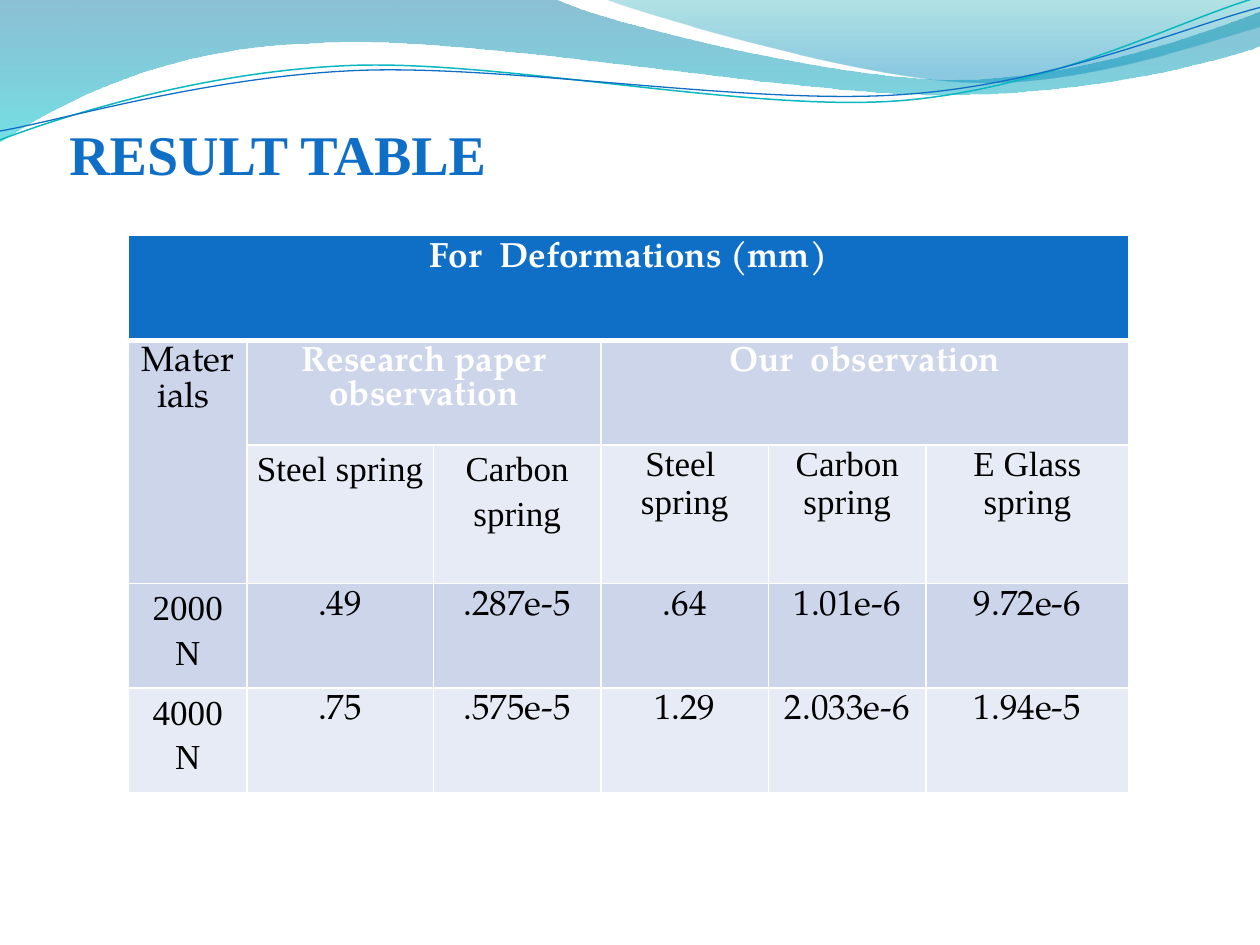
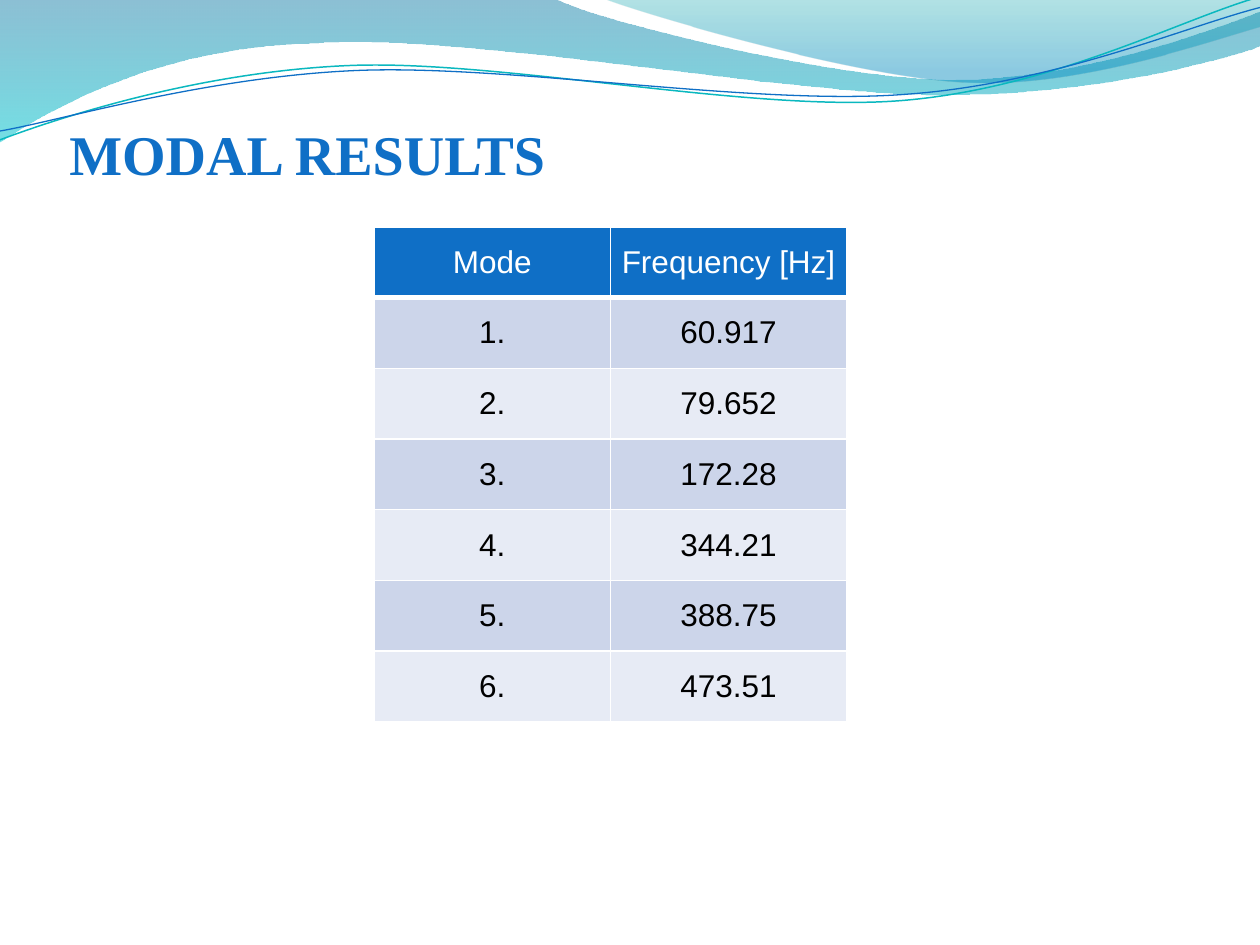
from math import cos, radians, sin

from lxml import etree
from pptx import Presentation
from pptx.dml.color import RGBColor
from pptx.enum.text import MSO_ANCHOR as Anchor, MSO_AUTO_SIZE as AutoSize, PP_ALIGN as Align
from pptx.oxml.ns import qn
from pptx.util import Inches, Pt

COLOURS = {
    "blue": "0F6FC6", "teal": "0AB8BF", "white": "FFFFFF", "black": "000000",
    "band_dark": "CCD5EA", "band_light": "E7EBF5",
    "wave_top": "0074A1", "wave_bottom": "00C6CF",
    "crest_top": "00A1A9", "crest_bottom": "008BBF",
}
SERIF, BOOK, SANS = "Times New Roman", "TeX Gyre Pagella", "Arial"
TITLE_BOX = (0.55, 0.23, 9, 1.25)
LINE_TILT = 357.3

HEADING = dict(font=BOOK, size=20, colour="white", bold=True)
VALUE = dict(font=BOOK, size=20)
LABEL = dict(font=SERIF, size=20, margins=(0.07, 0, 0.07, 0))
LOOSE_LABEL = dict(LABEL, spacing=1.15)
MODE = dict(font=SANS, size=18, margins=(0.03, 0.01, 0.03, 0.01), anchor=Anchor.MIDDLE)
MODE_HEADING = dict(MODE, colour="white")

WAVE = [
    [(0, 0)], [(4.4, -0.01)],
    [(4.76, 0.17), (6.64, 0.63), (7.58, 0.63)],
    [(8.53, 0.63), (9.58, 0.26), (10, 0.09)], [(10.01, 0.36)],
    [(9.83, 0.44), (8.7, 0.76), (7.46, 0.75)],
    [(6.22, 0.75), (3.82, 0.28), (2.57, 0.34)],
    [(1.29, 0.36), (0.46, 0.83), (-0.01, 1.13)], [(0, 0)],
]
CREST = [
    [(4.79, -0.01)],
    [(5.09, 0.11), (6.82, 0.62), (7.69, 0.65)],
    [(8.56, 0.69), (9.61, 0.32), (10, 0.21)], [(10, 0)], [(4.79, -0.01)],
]
TEAL_LINE = [
    [(0, 1.11)],
    [(0.48, 0.93), (1.58, 0.57), (2.77, 0.52)],
    [(3.95, 0.47), (5.93, 0.89), (7.13, 0.8)],
    [(8.33, 0.71), (9.38, 0.15), (9.98, -0.02)],
]
BLUE_LINE = [
    [(0, 1.04)],
    [(0.47, 0.96), (1.64, 0.61), (2.83, 0.56)],
    [(4.03, 0.51), (5.97, 0.84), (7.17, 0.75)],
    [(8.36, 0.67), (9.41, 0.21), (10, 0.06)],
]


def rgb(name):
    return RGBColor.from_string(COLOURS[name])


def write(text_frame, text, font=SERIF, size=20, colour="black", bold=False,
          align=Align.CENTER, spacing=None):
    for index, line in enumerate(text.split("\n")):
        paragraph = text_frame.add_paragraph() if index else text_frame.paragraphs[0]
        paragraph.alignment = align
        if spacing:
            paragraph.line_spacing = spacing
        run = paragraph.add_run()
        run.text = line
        run.font.name, run.font.size, run.font.bold = font, Pt(size), bold
        run.font.color.rgb = rgb(colour)


def bend_segments(shape, segments):
    outline = next(shape._element.iter(qn("a:path")))
    steps = iter(outline.findall(qn("a:lnTo")))
    for segment in segments[1:]:
        group = [next(steps) for _ in segment]
        if len(group) == 3:
            curve = etree.Element(qn("a:cubicBezTo"))
            group[0].addprevious(curve)
            for step in group:
                curve.append(step[0])
                outline.remove(step)


def add_outline(slide, segments, close):
    points = [(Inches(x), Inches(y)) for segment in segments for x, y in segment]
    builder = slide.shapes.build_freeform(*points[0])
    builder.add_line_segments(points[1:], close=close)
    shape = builder.convert_to_shape()
    bend_segments(shape, segments)
    shape.shadow.inherit = False
    return shape


def level(segments, centre, angle):
    turn = radians(-angle)

    def turned(x, y):
        dx, dy = x - centre[0], y - centre[1]
        return (centre[0] + dx * cos(turn) - dy * sin(turn),
                centre[1] + dx * sin(turn) + dy * cos(turn))

    return [[turned(*point) for point in segment] for segment in segments]


def add_wave(slide, segments, stops):
    shape = add_outline(slide, segments, True)
    shape.line.fill.background()
    shape.fill.gradient()
    shape.fill.gradient_angle = 270
    for stop, (position, colour, _) in zip(shape.fill.gradient_stops, stops):
        stop.position = position
        stop.color.rgb = rgb(colour)
    for element, (_, _, opacity) in zip(shape._element.iter(qn("a:gs")), stops):
        etree.SubElement(element[0], qn("a:alpha"), val=str(opacity * 1000))
    return shape


def add_curve(slide, segments, centre, colour, width):
    shape = add_outline(slide, level(segments, centre, LINE_TILT), False)
    shape.rotation = LINE_TILT
    shape.fill.background()
    shape.line.color.rgb = rgb(colour)
    shape.line.width = Pt(width)
    return shape


def move_waves_to_master(slide):
    shapes = [
        add_wave(slide, WAVE, [(0, "wave_top", 45), (1, "wave_bottom", 55)]),
        add_wave(slide, CREST, [(0, "crest_top", 30), (0.8, "crest_bottom", 45)]),
        add_curve(slide, TEAL_LINE, (4.99, 0.57), "teal", 0.85),
        add_curve(slide, BLUE_LINE, (5, 0.59), "blue", 0.75),
    ]
    tree = slide.slide_layout.slide_master.shapes._spTree
    for index, shape in enumerate(shapes, start=2):
        next(shape._element.iter(qn("p:cNvPr"))).set("id", str(100 + index))
        tree.insert(index, shape._element)


def add_title(slide, text, box):
    title = slide.shapes.title
    title.left, title.top, title.width, title.height = map(Inches, box)
    frame = title.text_frame
    frame.auto_size, frame.word_wrap = AutoSize.NONE, True
    frame.vertical_anchor = Anchor.BOTTOM
    frame.margin_top = Inches(0.05)
    frame.margin_left = frame.margin_right = frame.margin_bottom = 0
    write(frame, text, size=32, colour="blue", bold=True, align=Align.LEFT)


def add_borders(cell, is_header):
    properties = cell._tc.get_or_add_tcPr()
    for side in "LRTB":
        width = Pt(3 if is_header and side == "B" else 1)
        line = etree.SubElement(properties, qn(f"a:ln{side}"), w=str(width))
        fill = etree.SubElement(line, qn("a:solidFill"))
        etree.SubElement(fill, qn("a:srgbClr"), val=COLOURS["white"])


def fill_cell(cell, text, margins=(0.1, 0.05, 0.1, 0.05), anchor=Anchor.TOP, **text_format):
    cell.margin_left, cell.margin_top, cell.margin_right, cell.margin_bottom = map(Inches, margins)
    cell.vertical_anchor = anchor
    write(cell.text_frame, text, **text_format)


def add_grid(slide, left, top, widths, heights, rows, spans=()):
    box = (left, top, sum(widths), sum(heights))
    table = slide.shapes.add_table(len(heights), len(widths), *map(Inches, box)).table
    for column, width in zip(table.columns, widths):
        column.width = Inches(width)
    for row, height in zip(table.rows, heights):
        row.height = Inches(height)
    for first, last in spans:
        table.cell(*first).merge(table.cell(*last))
    for row_index, contents in enumerate(rows):
        band = "band_dark" if row_index % 2 else "band_light"
        for column_index, content in enumerate(contents):
            cell = table.cell(row_index, column_index)
            add_borders(cell, row_index == 0)
            cell.fill.solid()
            cell.fill.fore_color.rgb = rgb(band if row_index else "blue")
            if content:
                text, text_format = content
                fill_cell(cell, text, **text_format)


def values(*texts):
    return [(text, VALUE) for text in texts]


def build_deformation_slide(slide):
    add_title(slide, "RESULT TABLE", TITLE_BOX)
    rows = [
        [("For  Deformations (mm)", HEADING)] + [None] * 5,
        [("Materials ", VALUE), ("Research paper observation", HEADING), None,
         ("Our  observation", HEADING), None, None],
        [None, ("Steel spring", LOOSE_LABEL), ("Carbon spring", LOOSE_LABEL),
         ("Steel \nspring", LABEL), ("Carbon spring", LABEL), ("E Glass spring", LABEL)],
        [("2000 N", LOOSE_LABEL)] + values(".49", ".287e-5", ".64", "1.01e-6", "9.72e-6"),
        [("4000\nN", LOOSE_LABEL)] + values(".75", ".575e-5", "1.29", "2.033e-6", "1.94e-5"),
    ]
    spans = [((0, 0), (0, 5)), ((1, 0), (2, 0)), ((1, 1), (1, 2)), ((1, 3), (1, 5))]
    add_grid(slide, 1.02, 1.87, [0.94, 1.48, 1.33, 1.33, 1.25, 1.61],
             [0.83, 0.83, 1.1, 0.83, 0.83], rows, spans)


def build_modal_slide(slide):
    add_title(slide, "MODAL RESULTS", TITLE_BOX)
    frequencies = ["60.917", "79.652", "172.28", "344.21", "388.75", "473.51"]
    rows = [[("Mode", MODE_HEADING), ("Frequency [Hz]", MODE_HEADING)]]
    rows += [[(f"{mode}.", MODE), (frequency, MODE)]
             for mode, frequency in enumerate(frequencies, start=1)]
    add_grid(slide, 2.97, 1.8, [3.75 / 2] * 2, [3.93 / len(rows)] * len(rows), rows)


presentation = Presentation()
presentation.slide_width, presentation.slide_height = Inches(10), Inches(7.5)
title_layout = presentation.slide_layouts[5]
builders = [build_deformation_slide, build_modal_slide]
for number, build in enumerate(builders):
    slide = presentation.slides.add_slide(title_layout)
    if number == 0:
        move_waves_to_master(slide)
    build(slide)
presentation.save("out.pptx")
